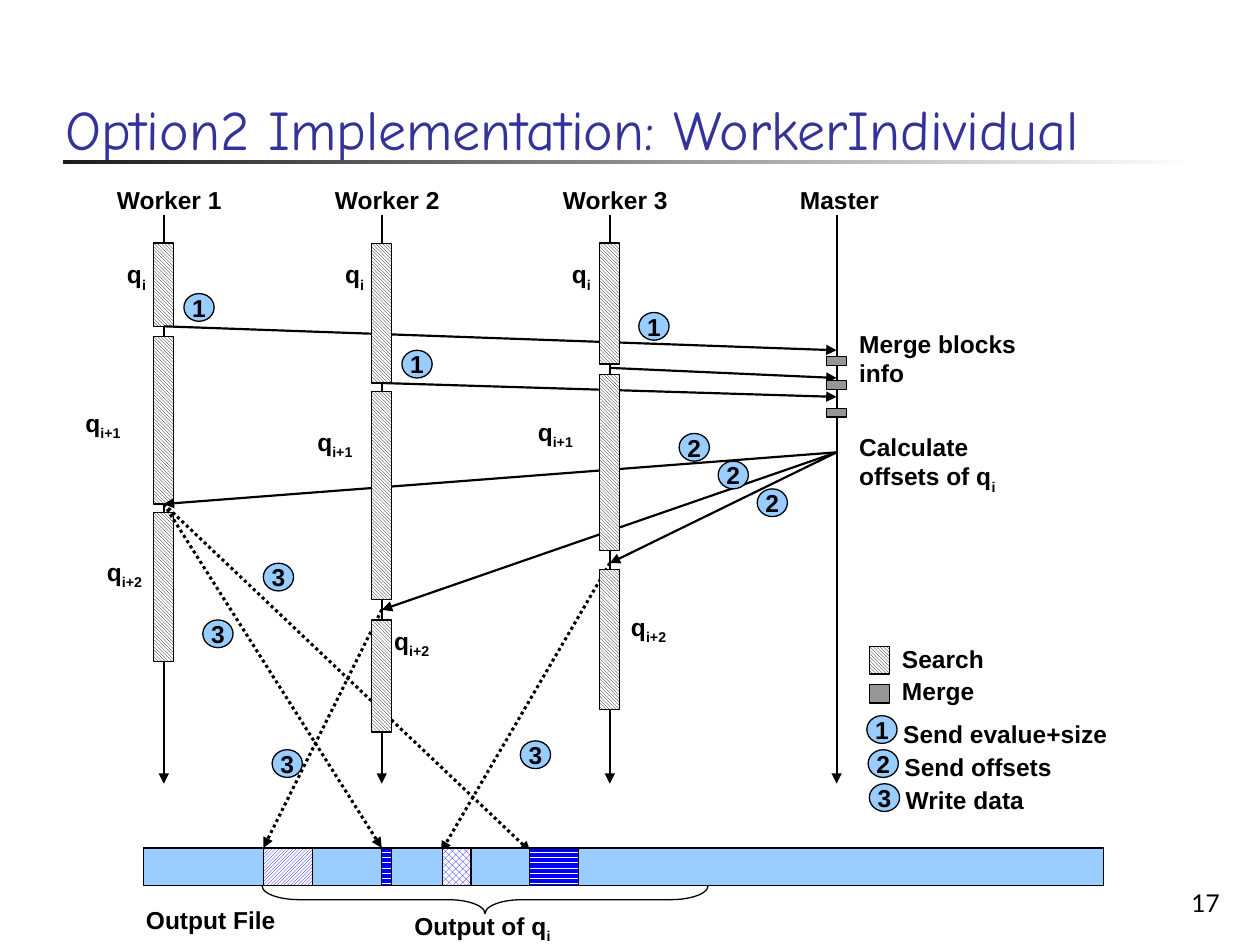
from lxml import etree
from pptx import Presentation
from pptx.dml.color import RGBColor
from pptx.enum.dml import MSO_LINE, MSO_PATTERN
from pptx.enum.shapes import MSO_CONNECTOR, MSO_SHAPE
from pptx.enum.text import MSO_ANCHOR, MSO_AUTO_SIZE, PP_ALIGN
from pptx.oxml.ns import qn
from pptx.util import Emu, Pt

PX = 9144
BLACK = RGBColor(0x00, 0x00, 0x00)
WHITE = RGBColor(0xFF, 0xFF, 0xFF)
CHARCOAL = RGBColor(0x1C, 0x1C, 0x1C)
GRAY = RGBColor(0x96, 0x96, 0x96)
SKY = RGBColor(0x99, 0xCC, 0xFF)
BLUE = RGBColor(0x00, 0x00, 0xFF)
NAVY = RGBColor(0x33, 0x33, 0x99)

RECTANGLE = MSO_SHAPE.RECTANGLE
CIRCLE = MSO_SHAPE.FLOWCHART_CONNECTOR
BRACE = MSO_SHAPE.LEFT_BRACE
STRAIGHT = MSO_CONNECTOR.STRAIGHT
DOTTED = MSO_LINE.ROUND_DOT
DOWN_STRIPES = MSO_PATTERN.DARK_DOWNWARD_DIAGONAL
UP_STRIPES = MSO_PATTERN.DARK_UPWARD_DIAGONAL
BARS = MSO_PATTERN.DARK_HORIZONTAL
CHECKS = MSO_PATTERN.LARGE_CHECKER_BOARD
LEFT, CENTER, RIGHT = PP_ALIGN.LEFT, PP_ALIGN.CENTER, PP_ALIGN.RIGHT
TOP, MIDDLE, BOTTOM = MSO_ANCHOR.TOP, MSO_ANCHOR.MIDDLE, MSO_ANCHOR.BOTTOM
BOTTOM_SIDE = 2

LANE_TOP, LANE_HEIGHT, BAR_WIDTH = 171, 451, 16
WORKERS = [
    ("Worker 1", 130, [(22, 66), (96, 133), (236, 118)],
     [(-39, 30), (-72, 148), (-55, 266)]),
    ("Worker 2", 303, [(22, 111), (140, 165), (321, 89)],
     [(-39, 30), (-61, 163), (0, 321)]),
    ("Worker 3", 484, [(22, 96), (126, 140), (281, 111)],
     [(-40, 30), (-67, 155), (7, 310)]),
]
MASTER_X = 664
SIZES = [((130, 260), (664, 278)), ((303, 304), (664, 315)), ((484, 292), (664, 300))]
OFFSETS = [((664, 359), end) for end in [(130, 400), (303, 484), (484, 447)]]
WRITES = [((130, 400), (303, 673)), ((130, 400), (421, 676)),
          ((303, 484), (209, 673)), ((484, 447), (350, 676))]
STEP_MARKS = {
    "1": [(146, 233), (319, 278), (507, 248)],
    "2": [(539, 344), (570, 366), (601, 388)],
    "3": [(161, 492), (209, 447), (216, 595), (413, 588)],
}


def emu(*lengths):
    return [Emu(length * PX) for length in lengths]


def style_text(frame, size, font, color, bold=False, align=LEFT, anchor=TOP):
    frame.vertical_anchor = anchor
    for para in frame.paragraphs:
        para.alignment = align
        for span in para.runs:
            span.font.size = Pt(size)
            span.font.name = font
            span.font.bold = bold
            span.font.color.rgb = color


def add_label(page, box, text, subscript=""):
    frame = page.shapes.add_textbox(*emu(*box)).text_frame
    frame.word_wrap = True
    frame.text = text
    if subscript:
        span = frame.paragraphs[0].add_run()
        span.text = subscript
        span.font._element.set("baseline", "-25000")
    style_text(frame, 14, "Arial", BLACK, bold=True)


def add_outlined(page, kind, box):
    shape = page.shapes.add_shape(kind, *emu(*box))
    shape.shadow.inherit = False
    shape.line.color.rgb = BLACK
    shape.line.width = Pt(0.75)
    return shape


def add_solid(page, kind, box, color):
    shape = add_outlined(page, kind, box)
    shape.fill.solid()
    shape.fill.fore_color.rgb = color
    return shape


def add_patterned(page, box, pattern, color):
    shape = add_outlined(page, RECTANGLE, box)
    shape.fill.patterned()
    shape.fill.pattern = pattern
    shape.fill.fore_color.rgb = color
    shape.fill.back_color.rgb = WHITE
    return shape


def add_badge(page, left, top, text):
    frame = add_solid(page, CIRCLE, (left, top, 24, 22), SKY).text_frame
    frame.word_wrap = False
    frame.text = text
    style_text(frame, 14, "Arial", BLACK, bold=True, align=CENTER, anchor=MIDDLE)


def add_arrow(page, start, end, width=1.25, dash=None):
    arrow = page.shapes.add_connector(STRAIGHT, *emu(*start, *end))
    arrow.line.color.rgb = BLACK
    arrow.line.width = Pt(width)
    if dash:
        arrow.line.dash_style = dash
    properties = arrow._element.spPr
    etree.SubElement(properties.find(qn("a:ln")), qn("a:tailEnd"), type="triangle")
    etree.SubElement(properties, qn("a:effectLst"))
    return arrow


def add_header(page, box):
    left, top, width, height = box
    title = page.shapes.title
    title.left, title.top, title.width, title.height = emu(*box)
    title.text_frame.text = "Option2 Implementation: WorkerIndividual"
    title.text_frame.auto_size = MSO_AUTO_SIZE.NONE
    style_text(title.text_frame, 32, "Comic Neue", NAVY, anchor=BOTTOM)
    rule = page.shapes.add_shape(RECTANGLE, *emu(left + 8, top + 104, 900, 3))
    rule.shadow.inherit = False
    rule.line.fill.background()
    rule.fill.gradient()
    rule.fill.gradient_angle = 0
    for stop, color in zip(rule.fill.gradient_stops, (CHARCOAL, WHITE)):
        stop.color.rgb = color


def add_lane(page, box, name, shift=47):
    left, top, width, height = box
    center = left + width // 2
    add_arrow(page, (center, top), (center, top + height))
    add_label(page, (center - shift, top - 29, 110, 33), name)


def add_searches(page, box, spans):
    left, top, width, height = box
    return [add_patterned(page, (left, top + offset, width, length), DOWN_STRIPES, BLACK)
            for offset, length in spans]


def add_query_labels(page, box, places):
    left, top, width, height = box
    center = left + width // 2
    for (shift, offset), subscript in zip(places, ("i", "i+1", "i+2")):
        add_label(page, (center + shift, top + offset, 64, 33), "q", subscript)


def add_master_steps(page, box):
    left, top, width, height = box
    for offset in (112, 131, 153):
        add_solid(page, RECTANGLE, (left, top + offset, width, 7), GRAY)
    add_label(page, (left + width, top + 85, 149, 57), "Merge blocks\vinfo")
    add_label(page, (left + width, top + 167, 141, 57), "Calculate\voffsets of q", "i")


def add_legend(page, box):
    left, top, width, height = box
    add_patterned(page, (left + 2, top + 7, 16, 22), DOWN_STRIPES, BLACK)
    add_label(page, (left + 18, top, 102, 33), "Search")
    add_solid(page, RECTANGLE, (left + 2, top + 37, 16, 15), GRAY)
    add_label(page, (left + 18, top + 26, 102, 33), "Merge")
    for index, meaning in enumerate(("Send evalue+size", "Send offsets", "Write data")):
        add_badge(page, left + index, top + 62 + 27 * index, str(index + 1))
        add_label(page, (left + 19 + index, top + 60 + 26 * index, 193, 33), meaning)


def add_output_file(page, box):
    left, top, width, height = box
    add_solid(page, RECTANGLE, box, SKY)
    for offset, length, pattern in ((95, 39, UP_STRIPES), (189, 8, BARS),
                                    (237, 23, CHECKS), (306, 39, BARS)):
        add_patterned(page, (left + offset, top, length, height), pattern, BLUE)
    brace = add_outlined(page, BRACE, (left + 260, top - 136, 22, 354))
    brace.rotation = 270
    brace.adjustments[0] = 1.337
    brace.fill.background()
    add_label(page, (left + 205, top + 45, 149, 33), "Output of q", "i")
    add_label(page, (left - 8, top + 40, 181, 33), "Output File")


def add_page_number(page, box):
    frame = page.shapes.add_textbox(*emu(*box)).text_frame
    frame.word_wrap = True
    frame.text = "17"
    style_text(frame, 14, "Lato", BLACK, align=RIGHT, anchor=BOTTOM)


def add_timeline(page):
    lanes = [(x - BAR_WIDTH // 2, LANE_TOP, BAR_WIDTH, LANE_HEIGHT)
             for x in [worker[1] for worker in WORKERS] + [MASTER_X]]
    for lane, worker in zip(lanes, WORKERS):
        add_lane(page, lane, worker[0])
    add_lane(page, lanes[-1], "Master", shift=39)

    first = add_searches(page, lanes[0], WORKERS[0][2])
    sizes = [add_arrow(page, *ends) for ends in SIZES]
    offsets = [add_arrow(page, *ends) for ends in OFFSETS]
    writes = [add_arrow(page, *ends, 1.75, DOTTED) for ends in WRITES]
    second, third = [add_searches(page, lane, worker[2])
                     for lane, worker in zip(lanes[1:], WORKERS[1:])]
    sizes[0].begin_connect(first[0], BOTTOM_SIDE)
    sizes[1].begin_connect(second[0], BOTTOM_SIDE)
    offsets[0].end_connect(first[1], BOTTOM_SIDE)
    for write in writes[:2]:
        write.begin_connect(first[1], BOTTOM_SIDE)

    for lane, worker in zip(lanes, WORKERS):
        add_query_labels(page, lane, worker[3])
    add_master_steps(page, lanes[-1])
    for step, places in STEP_MARKS.items():
        for left, top in places:
            add_badge(page, left, top, step)


def main():
    deck = Presentation()
    deck.slide_width, deck.slide_height = emu(1000, 750)
    page = deck.slides.add_slide(deck.slide_layouts[5])
    add_header(page, (42, 23, 928, 110))
    add_timeline(page)
    add_legend(page, (688, 506, 212, 145))
    add_output_file(page, (114, 673, 762, 30))
    add_page_number(page, (770, 683, 208, 50))
    deck.save("out.pptx")


if __name__ == "__main__":
    main()
